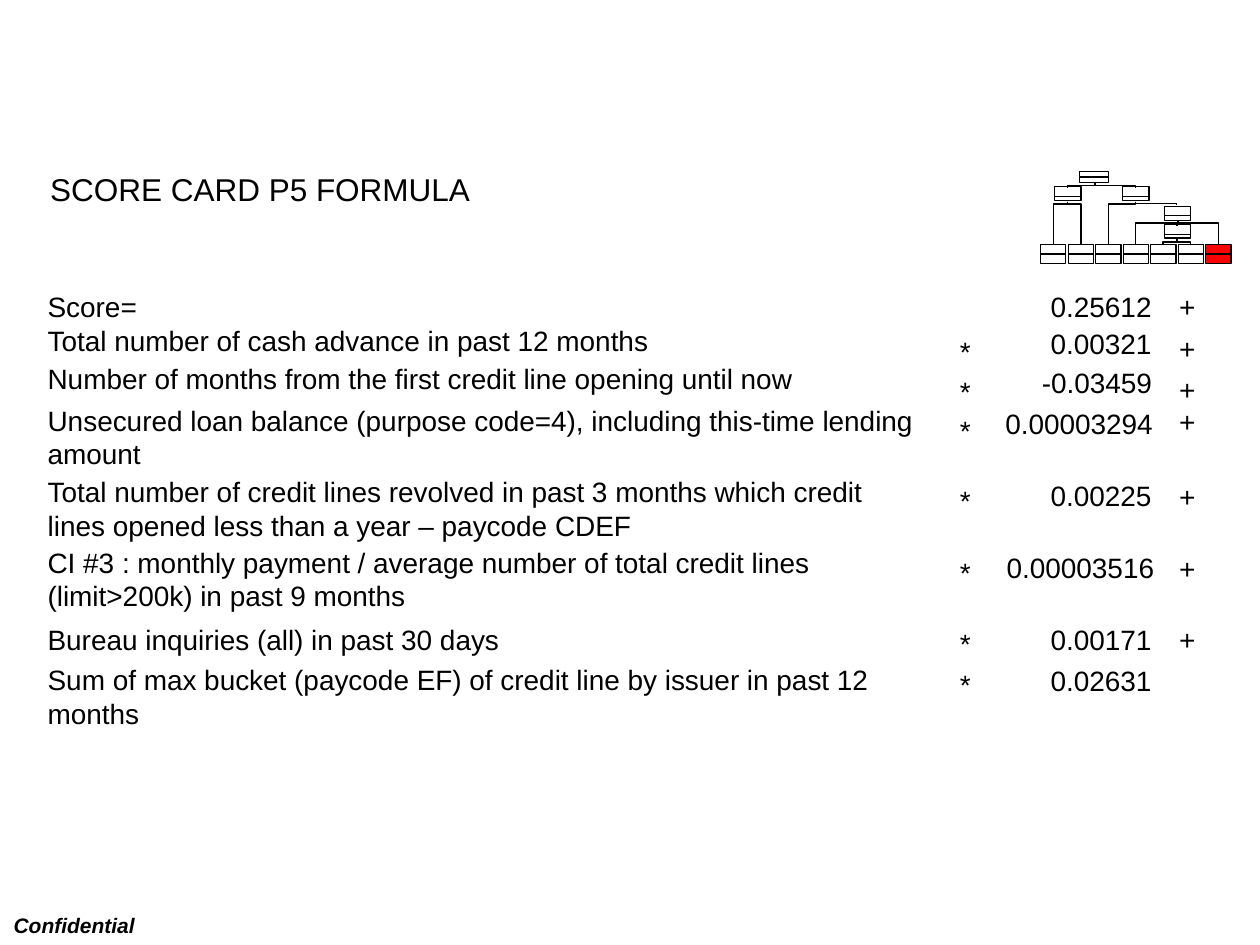
from pptx import Presentation
from pptx.dml.color import RGBColor
from pptx.enum.shapes import MSO_CONNECTOR, MSO_SHAPE
from pptx.enum.text import MSO_ANCHOR, MSO_AUTO_SIZE
from pptx.oxml.ns import qn
from pptx.util import Inches, Pt
from lxml import etree

RECT = MSO_SHAPE.RECTANGLE
STRAIGHT, ELBOW = MSO_CONNECTOR.STRAIGHT, MSO_CONNECTOR.ELBOW
MIDDLE, FIT = MSO_ANCHOR.MIDDLE, MSO_AUTO_SIZE.SHAPE_TO_FIT_TEXT
color = RGBColor.from_string
BLACK, RED = "000000", "FF0000"

prs = Presentation()
prs.slide_width, prs.slide_height = Inches(10), Inches(7.5)
slide = prs.slides.add_slide(prs.slide_layouts[6])


def add_text(text, x, y, w, h, size=16, before=10):
    box = slide.shapes.add_textbox(Inches(x), Inches(y), Inches(w), Inches(h))
    frame = box.text_frame
    frame.text = text
    frame.word_wrap = True
    frame.auto_size = FIT
    para = frame.paragraphs[0]
    para.space_before = Pt(before)
    font = para.runs[0].font
    font.name, font.size = "Arial", Pt(size)
    font.color.rgb = color(BLACK)
    return box


def add_line(kind, x1, y1, x2, y2):
    line = tree.add_connector(kind, Inches(x1), Inches(y1), Inches(x2), Inches(y2))
    line.line.color.rgb = color(BLACK)
    line.line.width = Pt(0.75)
    etree.SubElement(line.element.spPr, qn("a:effectLst"))
    return line


# Footer and title
note = add_text("Confidential", 0.01, 7.19, 1.21, 0.3, 12, 7.5)
note.text_frame.word_wrap = False
font = note.text_frame.paragraphs[0].runs[0].font
font.bold = font.italic = True
title = add_text("SCORE CARD P5 FORMULA", 0.3, 1.3, 9.42, 0.4, 18, 11.2)
title.text_frame.vertical_anchor = MIDDLE

# Formula terms: label, top, width, height
terms = [
    ("Score=", 2.25, 6.7, 0.64),
    ("Total number of cash advance in past 12 months", 2.52, 6.7, 0.37),
    ("Number of months from the first credit line opening until now", 2.82, 6.7, 0.64),
    ("Unsecured loan balance (purpose code=4), including this-time lending amount",
     3.15, 7.36, 0.64),
    ("Total number of credit lines revolved in past 3 months which credit lines "
     "opened less than a year – paycode CDEF", 3.72, 7.15, 0.64),
    ("CI #3 : monthly payment / average number of total credit lines "
     "(limit>200k) in past 9 months", 4.28, 7.2, 0.64),
    ("Bureau inquiries (all) in past 30 days", 4.89, 6.7, 0.37),
    ("Sum of max bucket (paycode EF) of credit line by issuer in past 12 months",
     5.21, 7.15, 0.64),
]
for label, y, w, h in terms:
    add_text(label, 0.28, y, w, h)

# Multiplication signs: top, height
stars = [(2.61, 3.57), (2.92, 4.9), (3.23, 1.7), (3.79, 0.37),
         (4.36, 0.37), (4.92, 0.37), (5.25, 1.7)]
for y, h in stars:
    add_text("*", 7.52, y, 0.48, h)

# Coefficients: value, left, top, width
values = [
    ("0.25612", 8.24, 2.25, 1.21), ("0.00321", 8.24, 2.54, 1.04),
    ("-0.03459", 8.17, 2.85, 1.16), ("0.00003294", 7.88, 3.18, 1.51),
    ("0.00225", 8.24, 3.75, 1.2), ("0.00003516", 7.89, 4.32, 1.51),
    ("0.00171", 8.24, 4.89, 1.2), ("0.02631", 8.24, 5.22, 1.2),
]
for value, x, y, w in values:
    add_text(value, x, y, w, 0.37)

# Plus signs
for y in (2.25, 2.58, 2.91, 3.16, 3.76, 4.33, 4.89):
    add_text("+", 9.26, y, 0.33, 0.37)

# Tree boxes: left, top, width, height, divider (None joins the side middles)
tree = slide.shapes.add_group_shape().shapes
nodes = [(8.57, 1.36, 0.23, 0.09, None), (8.37, 1.48, 0.21, 0.11, 1.56),
         (8.91, 1.48, 0.21, 0.11, 1.56), (9.24, 1.64, 0.21, 0.11, 1.71),
         (9.24, 1.78, 0.21, 0.11, 1.86)]
leaves = [(8.26 + 1.31 / 6 * i, 1.94, 0.2, 0.15, None) for i in range(7)]
for x, y, w, h, mid in nodes + leaves:
    box = tree.add_shape(RECT, Inches(x), Inches(y), Inches(w), Inches(h))
    box.shadow.inherit = False
    box.fill.background()
    box.line.color.rgb = color(BLACK)
    box.line.width = Pt(0.75)
    level = mid or y + h / 2
    line = add_line(STRAIGHT, x, level, x + w, level)
    if mid is None:
        line.begin_connect(box, 1)
        line.end_connect(box, 3)
# The last leaf is the P5 segment
box.fill.solid()
box.fill.fore_color.rgb = color(RED)

# Branches run down, across, down: start x, start y, end x, end y
branches = [
    (8.69, 1.45, 8.47, 1.49), (8.69, 1.45, 9.01, 1.49),
    (8.47, 1.6, 8.36, 1.94), (8.47, 1.6, 8.58, 1.94),
    (9.01, 1.6, 8.8, 1.94), (9.01, 1.6, 9.34, 1.63),
    (9.35, 1.75, 9.01, 1.94), (9.35, 1.75, 9.67, 1.94),
    (9.35, 1.75, 9.34, 1.79),
    (9.34, 1.9, 9.23, 1.94), (9.34, 1.9, 9.45, 1.94),
]
for x1, y1, x2, y2 in branches:
    # An elbow starts sideways, so it is turned a quarter about its centre
    right = x2 > x1
    cx, cy = (x1 + x2) / 2, (y1 + y2) / 2
    long, wide = (y2 - y1) / 2, abs(x2 - x1) / 2
    side = -long if right else long
    line = add_line(ELBOW, cx - side, cy - wide, cx + side, cy + wide)
    props = line.element.spPr
    props.find(qn("a:xfrm")).set("rot", "16200000" if right else "5400000")
    bend = round(min(0.5, 0.02 / (y2 - y1)) * 100000)
    guides = props.find(qn("a:prstGeom")).find(qn("a:avLst"))
    etree.SubElement(guides, qn("a:gd"), name="adj1", fmla=f"val {bend}")

prs.save("out.pptx")
